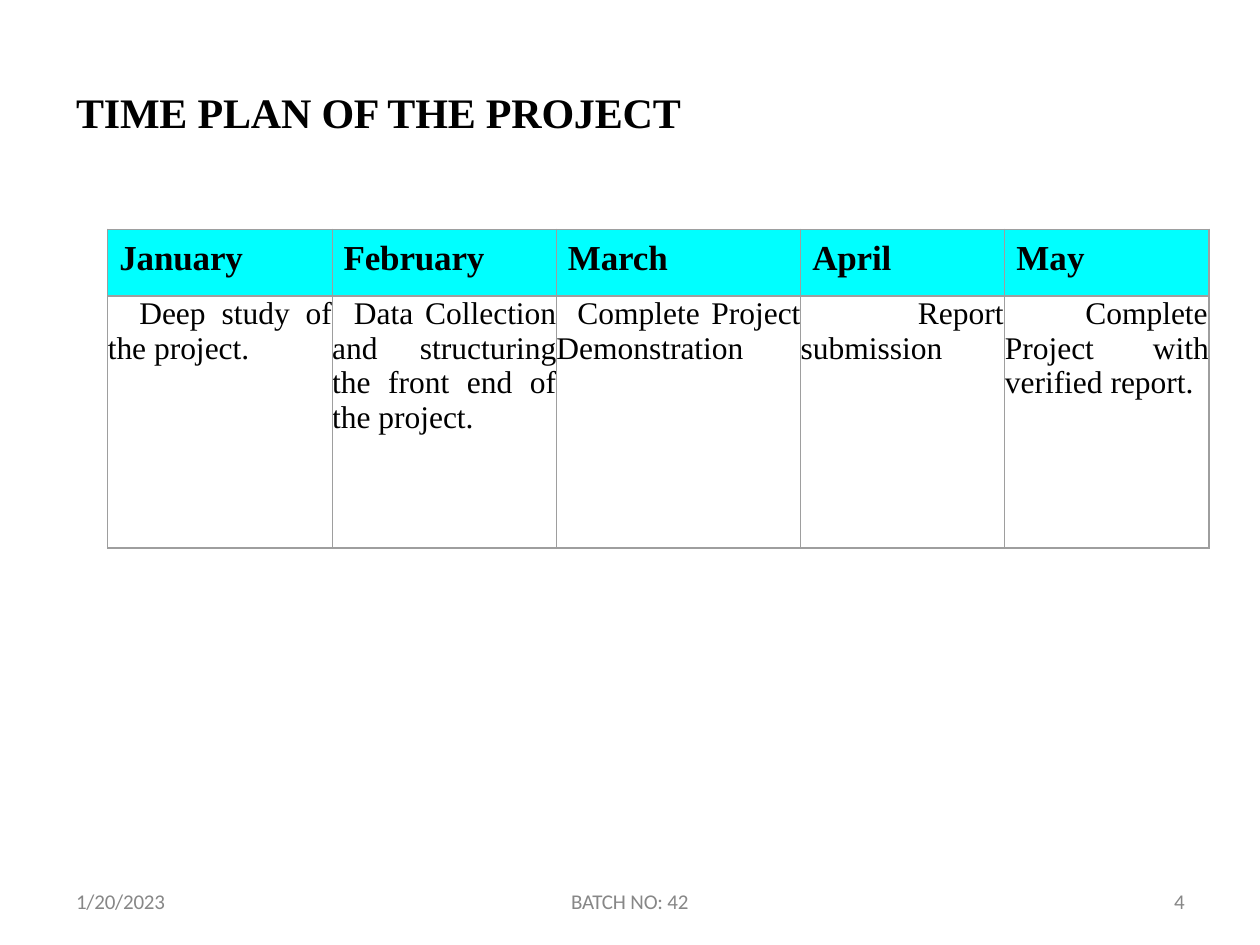
from lxml.etree import SubElement
from pptx import Presentation
from pptx.dml.color import RGBColor
from pptx.enum.text import MSO_ANCHOR, PP_ALIGN
from pptx.oxml.ns import qn
from pptx.util import Pt

BLACK = RGBColor(0x00, 0x00, 0x00)
GRAY = RGBColor(0x87, 0x87, 0x87)
CYAN = RGBColor(0x00, 0xFF, 0xFF)
BORDER = RGBColor(0x9E, 0x9E, 0x9E)
SERIF, SANS = "Times New Roman", "Calibri"


class SlideBuilder:
    """Holds the current slide and draws its elements in one style."""

    def __init__(self, prs):
        self.s = prs.slides.add_slide(prs.slide_layouts[5])

    def run(self, p, text, size, font=SERIF, color=BLACK, bold=False, tracking=0):
        r = p.add_run()
        r.text = text
        r.font.size, r.font.name, r.font.bold = Pt(size), font, bold
        r.font.color.rgb = color
        if tracking:
            r.font._element.set("spc", str(tracking))

    def indent(self, p, left=0, first=0):
        pPr = p._p.get_or_add_pPr()
        pPr.set("marL", str(Pt(left)))
        pPr.set("indent", str(Pt(first)))

    def frame(self, tf, top=0):
        tf.margin_left = tf.margin_right = tf.margin_bottom = 0
        tf.margin_top = Pt(top)
        tf.word_wrap = True
        tf.vertical_anchor = MSO_ANCHOR.TOP
        return tf.paragraphs[0]

    def title(self, text, left, top, width, height):
        sp = self.s.shapes.title
        sp.left, sp.top, sp.width, sp.height = map(Pt, (left, top, width, height))
        p = self.frame(sp.text_frame, 1)
        p.alignment, p.space_before = PP_ALIGN.LEFT, Pt(1)
        self.indent(p, 1)
        self.run(p, text, 24, bold=True, tracking=-10)

    def footer(self, text, left, width, indent=1, tracking=-10):
        sp = self.s.shapes.add_textbox(Pt(left), Pt(509.8), Pt(width), Pt(13.5))
        p = self.frame(sp.text_frame)
        p.line_spacing = Pt(12.4)
        self.indent(p, indent)
        self.run(p, text, 12, SANS, GRAY, tracking=tracking)

    def borders(self, cell):
        tcPr = cell._tc.get_or_add_tcPr()
        for i, side in enumerate(("a:lnL", "a:lnR", "a:lnT", "a:lnB")):
            ln = tcPr.makeelement(qn(side), {"w": str(Pt(0.75))})
            fill = SubElement(ln, qn("a:solidFill"))
            SubElement(fill, qn("a:srgbClr"), val=str(BORDER))
            tcPr.insert(i, ln)

    def cell(self, cell, top=0):
        cell.margin_left = cell.margin_right = cell.margin_bottom = 0
        cell.margin_top = Pt(top)
        self.borders(cell)
        p = cell.text_frame.paragraphs[0]
        p.alignment = PP_ALIGN.JUSTIFY
        return p

    def table(self, plan, left, top, heights):
        widths = [width for _, _, _, width in plan]
        table = self.s.shapes.add_table(
            2, len(plan), Pt(left), Pt(top), Pt(sum(widths)), Pt(sum(heights))
        ).table
        for row, height in zip(table.rows, heights):
            row.height = Pt(height)
        for i, (month, task, first, width) in enumerate(plan):
            table.columns[i].width = Pt(width)
            head, body = table.cell(0, i), table.cell(1, i)
            head.fill.solid()
            head.fill.fore_color.rgb = CYAN
            body.fill.background()
            p = self.cell(head, 6)
            p.space_before = Pt(6)
            self.indent(p, 6.6)
            self.run(p, month, 20, bold=True, tracking=0 if month == "May" else -10)
            p = self.cell(body)
            self.indent(p, first=first)
            self.run(p, task, 18)


def main():
    prs = Presentation()
    prs.slide_width, prs.slide_height = Pt(720), Pt(540)
    slide = SlideBuilder(prs)
    slide.title("TIME PLAN OF THE PROJECT", 42.5, 48.2, 349.2, 31)
    slide.footer("1/20/2023", 42.5, 57.6)
    slide.footer("BATCH NO: 42", 325.4, 77)
    slide.footer("4", 668.9, 10, indent=2, tracking=0)
    plan = [
        ("January", "Deep study of the project.", 18, 128.2),
        ("February", "Data Collection and structuring the front end of the project.", 12.5, 128.2),
        ("March", "Complete Project Demonstration", 12, 139.6),
        ("April", "Report submission", 67, 116.7),
        ("May", "Complete Project with verified report.", 46, 116.7),
    ]
    slide.table(plan, 61.6, 131, (38.2, 144))
    prs.save("out.pptx")


if __name__ == "__main__":
    main()
